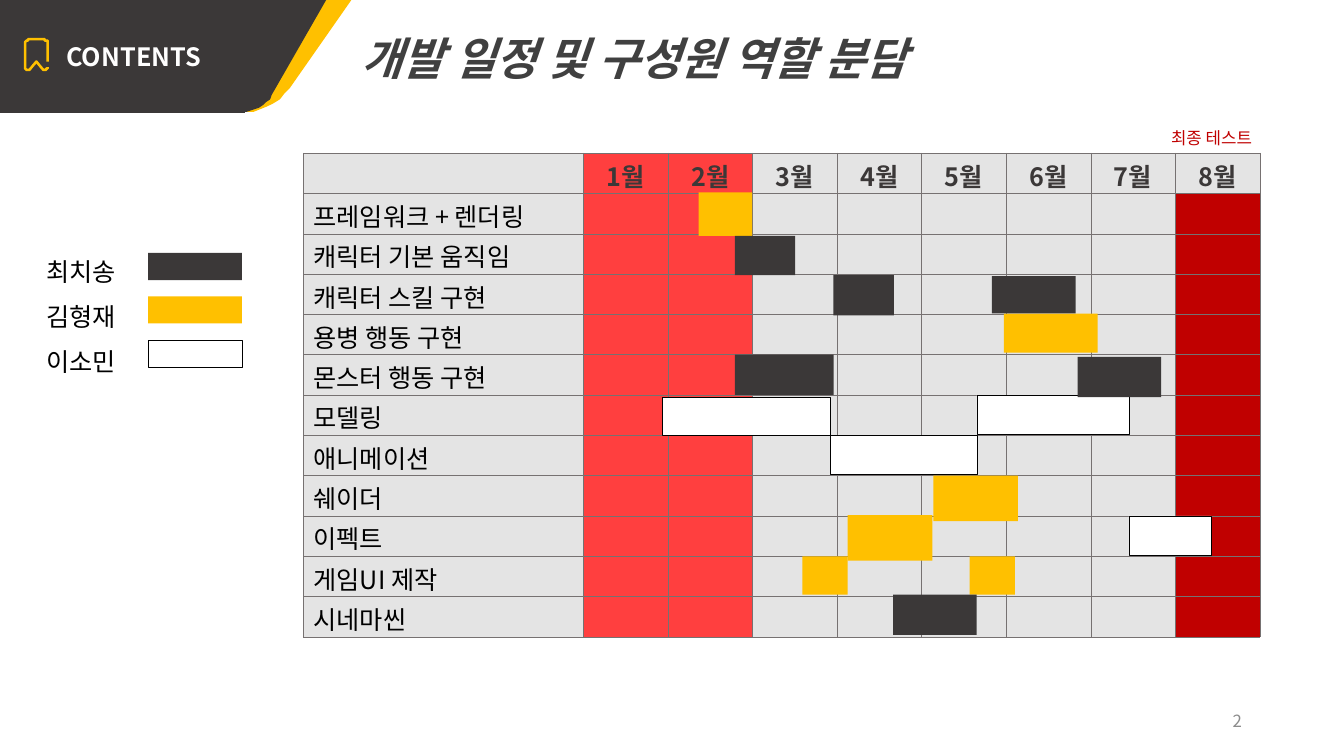
from pptx import Presentation
from pptx.dml.color import RGBColor
from pptx.enum import shapes, text
from pptx.oxml import parse_xml
from pptx.oxml.ns import nsdecls, qn
from pptx.util import Pt

FACE = "Noto Sans CJK KR"
DARK = RGBColor(0x3B, 0x38, 0x38)
GOLD = RGBColor(0xFF, 0xC0, 0x00)
WHITE = RGBColor(0xFF, 0xFF, 0xFF)
BLACK = RGBColor(0x00, 0x00, 0x00)
TITLE = RGBColor(0x40, 0x40, 0x40)
GREY = RGBColor(0xE4, 0xE4, 0xE4)
MUTED = RGBColor(0x8C, 0x8C, 0x8C)
RED = RGBColor(0xFF, 0x3F, 0x3F)
CRIMSON = RGBColor(0xC0, 0x00, 0x00)
RULE = "767171"

MONTHS = ["1월", "2월", "3월", "4월", "5월", "6월", "7월", "8월"]
TASKS = ["프레임워크 + 렌더링", "캐릭터 기본 움직임", "캐릭터 스킬 구현",
         "용병 행동 구현", "몬스터 행동 구현", "모델링", "애니메이션",
         "쉐이더", "이펙트", "게임UI 제작", "시네마씬"]
TEAM = {"최치송": DARK, "김형재": GOLD, "이소민": WHITE}
# Work periods by member: left, top, width, height
BARS = {
    "이소민": [(473, 283.7, 120.2, 27.4), (593.3, 311, 105.1, 28),
            (697.7, 282.2, 108.7, 27.7), (806.4, 368.6, 59, 28)],
    "김형재": [(499, 137.5, 38.2, 31), (573.1, 397.4, 32.4, 27.4),
            (692.6, 397.4, 32.4, 27.4), (605.5, 368, 60.5, 32.4),
            (717.1, 224, 67, 28), (666.7, 339.8, 60.5, 32.4)],
    "최치송": [(524.9, 168.5, 43.2, 28), (708.5, 197.3, 59.8, 26.6),
            (595.4, 196.6, 43.2, 28.8), (769.7, 254.9, 59.8, 28.8),
            (524.9, 253.4, 70.6, 28.8), (637.9, 424.8, 59.8, 28.8)],
}
# Outlines: two numbers make a line, six make a curve
FLAP = [(152.6, 0), (251.3, 0), (206.6, 62.6),
        (194.4, 81.4, 169.2, 85.7, 151.2, 72.7),
        (132.5, 59.8, 128.2, 35.3, 141.1, 16.6)]
BANNER = [(140.4, 0), (233.3, 0), (194.4, 67.7),
          (187.9, 79.9, 172.1, 83.5, 160.6, 77), (133.9, 61.9),
          (122.4, 54.7, 118.1, 39.6, 124.6, 27.4)]
MARK = [(34.1, 43.5), (34.1, 31), (34.1, 29.5, 33, 28.3, 31.3, 28.3),
        (20.7, 28.3), (19.2, 28.3, 18.1, 29.5, 18.1, 31), (18.1, 48.3),
        (18.1, 50, 19.6, 50.6, 20.8, 49.5), (26, 44.4), (31.2, 49.5),
        (32.2, 50.6, 33.8, 50.1, 34.1, 47.6)]

LEFT, TOP, NAME_W, MONTH_W, ROW_H = 216.8, 109.3, 200, 60.4, 28.8

deck = Presentation()
deck.slide_width, deck.slide_height = Pt(960), Pt(540)
slide = deck.slides.add_slide(deck.slide_layouts[6])
tree = slide.shapes


def style(para, size, color, bold=None, italic=None, align=None, space=None):
    font = para.font
    font.name, font.size, font.bold, font.italic = FACE, Pt(size), bold, italic
    font.color.rgb = color
    props = para._p.get_or_add_pPr().find(qn("a:defRPr"))
    props.find(qn("a:latin")).addnext(
        parse_xml(f'<a:ea {nsdecls("a")} typeface="{FACE}"/>'))
    para.alignment = align
    if space:
        para.line_spacing = space


def label(box, lines, size, color, **look):
    frame = tree.add_textbox(*map(Pt, box)).text_frame
    frame.word_wrap = True
    frame.text = "\n".join(lines)
    for para in frame.paragraphs:
        style(para, size, color, **look)
    return frame


def block(box, color):
    rect = tree.add_shape(shapes.MSO_SHAPE.RECTANGLE, *map(Pt, box))
    rect.shadow.inherit = False
    rect.fill.solid()
    rect.fill.fore_color.rgb = color
    if color == WHITE:
        rect.line.color.rgb = BLACK
        rect.line.width = Pt(0.25)
    else:
        rect.line.fill.background()
    return rect


def trace(steps, closed=True):
    """Add an outline, with each cubic curve cut into twelve lines."""
    dots = [steps[0]]
    for step in steps[1:]:
        if len(step) == 2:
            dots.append(step)
            continue
        ctrl = [dots[-1], step[:2], step[2:4], step[4:]]
        for i in range(1, 13):
            t = i / 12
            mix = ((1 - t) ** 3, 3 * t * (1 - t) ** 2, 3 * t * t * (1 - t), t ** 3)
            dots.append(tuple(sum(m * c[k] for m, c in zip(mix, ctrl))
                              for k in (0, 1)))
    pen = tree.build_freeform(*dots[0], scale=Pt(1))
    pen.add_line_segments(dots[1:], close=closed)
    form = pen.convert_to_shape()
    form.shadow.inherit = False
    return form


def border(cell):
    props = cell._tc.get_or_add_tcPr()
    for i, side in enumerate(("lnL", "lnR", "lnT", "lnB")):
        props.insert(i, parse_xml(
            f'<a:{side} {nsdecls("a")} w="{Pt(0.25)}"><a:solidFill>'
            f'<a:srgbClr val="{RULE}"/></a:solidFill></a:{side}>'))


def tint(row, col):
    if col in (1, 2):
        return RED
    return CRIMSON if row and col == len(MONTHS) else GREY


# Header
for outline, color in ((FLAP, GOLD), (BANNER, DARK)):
    form = trace(outline)
    form.fill.solid()
    form.fill.fore_color.rgb = color
    form.line.fill.background()
label((251.3, -0.7, 496, 57.6), ["개발 일정 및 구성원 역할 분담"], 32, TITLE,
      bold=True, italic=True, space=1.5)
tab = block((0, 0, 175, 80.6), DARK).text_frame
tab.text = "CONTENTS"
tab.margin_left = Pt(47.5)
tab.vertical_anchor = text.MSO_ANCHOR.MIDDLE
style(tab.paragraphs[0], 18, WHITE, bold=True, align=text.PP_ALIGN.LEFT)
mark = trace(MARK, closed=False)
mark.fill.background()
mark.line.color.rgb = GOLD
mark.line.width = Pt(1.8)

# Schedule
grid = [["", *MONTHS]] + [[task] + [""] * len(MONTHS) for task in TASKS]
table = tree.add_table(len(grid), len(grid[0]), Pt(LEFT), Pt(TOP),
                       Pt(NAME_W + MONTH_W * len(MONTHS)),
                       Pt(ROW_H * len(grid))).table
for c, col in enumerate(table.columns):
    col.width = Pt(MONTH_W if c else NAME_W)
for r, row in enumerate(grid):
    table.rows[r].height = Pt(ROW_H)
    for c, words in enumerate(row):
        cell = table.cell(r, c)
        cell.text = words
        cell.margin_top, cell.margin_bottom = Pt(2.7), 0
        cell.fill.solid()
        cell.fill.fore_color.rgb = tint(r, c)
        border(cell)
        style(cell.text_frame.paragraphs[0], 18, BLACK if r else DARK,
              bold=r == 0, align=text.PP_ALIGN.CENTER if c else None)
for member, spans in BARS.items():
    for box in spans:
        block(box, TEAM[member])
label((829.4, 80.6, 83.5, 26), ["최종 테스트"], 12, CRIMSON, space=1.5)

# Legend and page number
label((25.9, 168.5, 69.1, 101.5), TEAM, 18, BLACK, space=1.5)
for i, color in enumerate(TEAM.values()):
    block((105.8, 180.7 + 31 * i, 67, 19.4), color)
page = label((678.2, 500.4, 216, 28.8), ["2"], 12, MUTED,
             align=text.PP_ALIGN.RIGHT)
page.vertical_anchor = text.MSO_ANCHOR.MIDDLE

deck.save("out.pptx")
